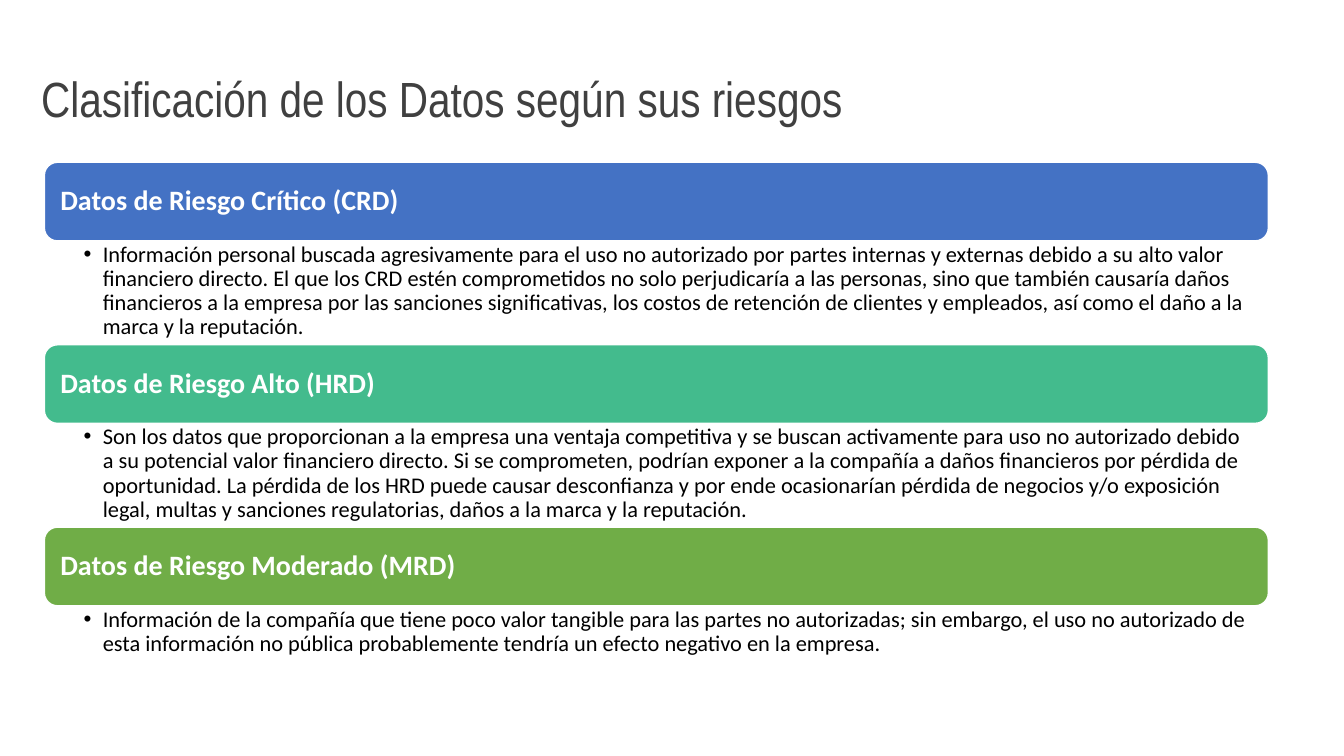
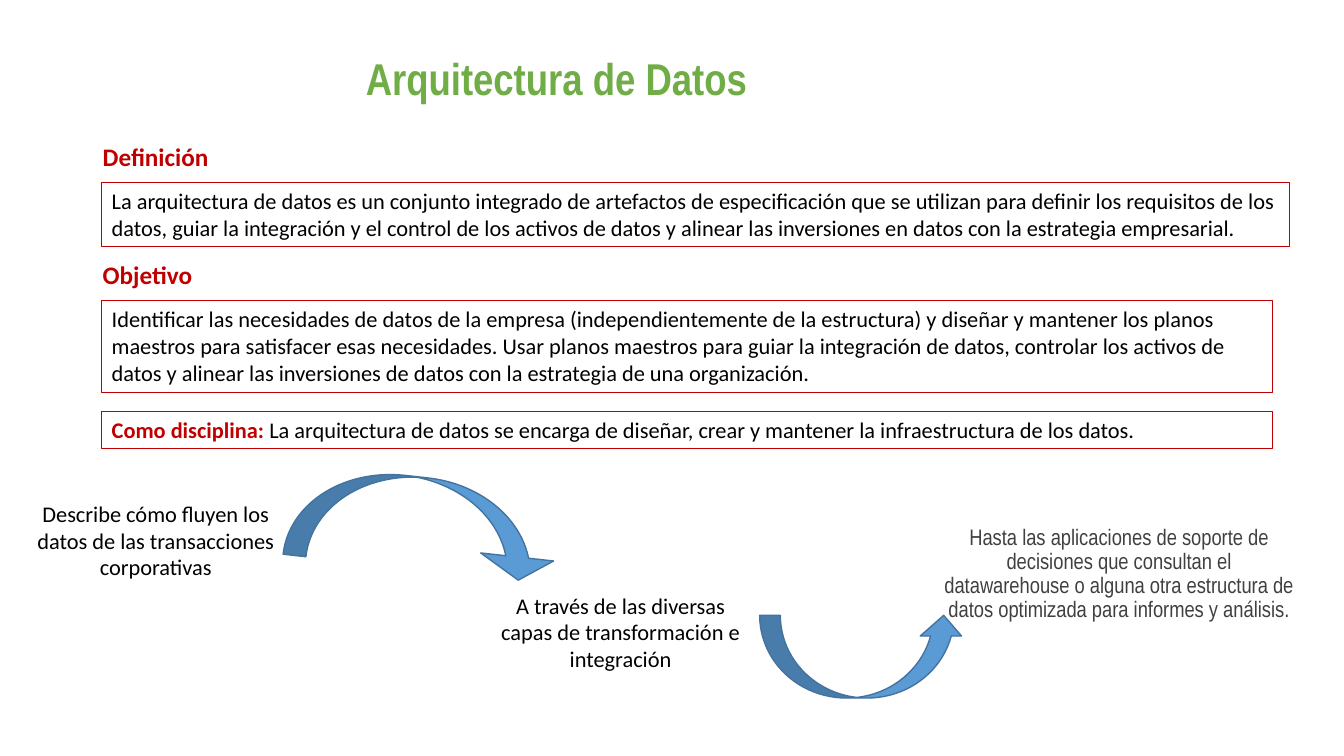
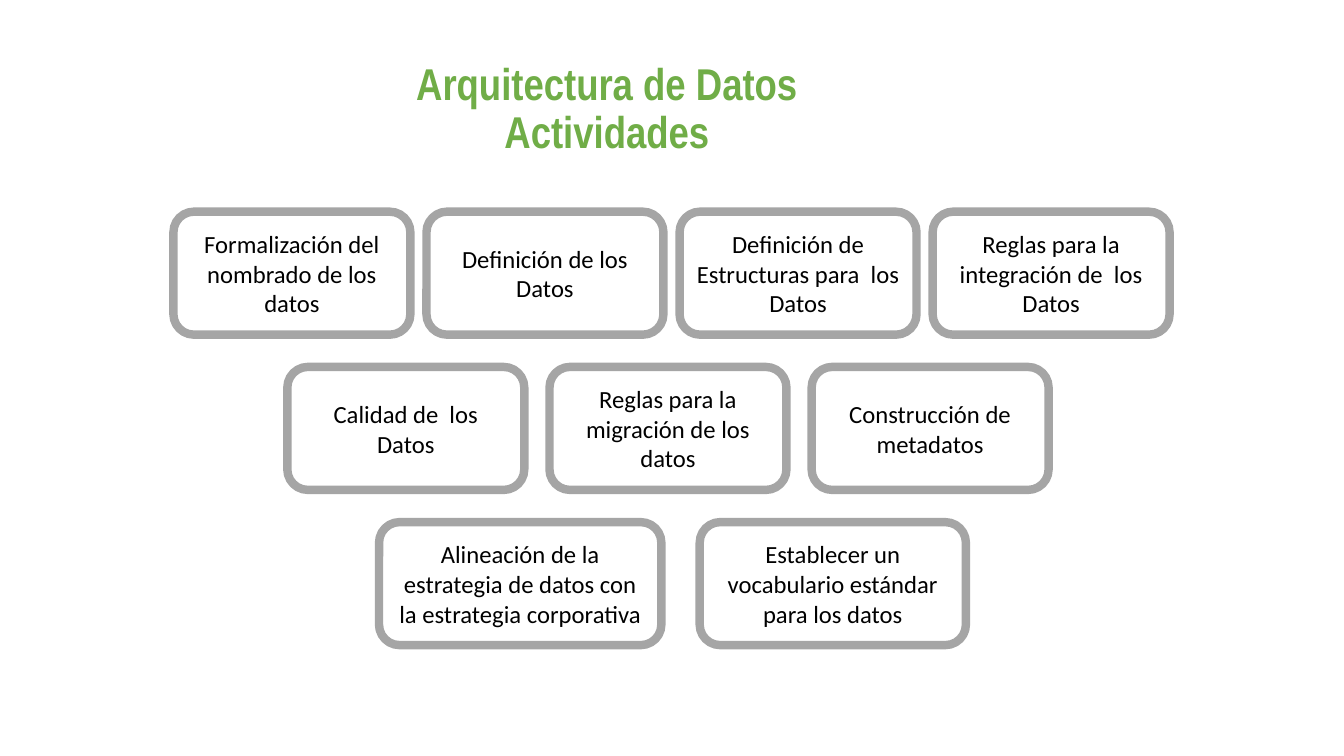
from dataclasses import dataclass

from lxml import etree
from pptx import Presentation
from pptx import util as u
from pptx.dml.color import RGBColor
from pptx.enum import shapes, text
from pptx.oxml import ns

SHAPE = shapes.MSO_SHAPE
CENTER = text.PP_ALIGN.CENTER
MIDDLE = text.MSO_ANCHOR.MIDDLE


@dataclass(frozen=True)
class Theme:
    body_font: str = "Calibri"
    title_font: str = "Arial Narrow"
    white: str = "FFFFFF"
    black: str = "000000"
    gray: str = "404040"
    border: str = "A5A5A5"
    blue: str = "4472C4"
    teal: str = "43BB8D"
    green: str = "70AD47"
    red: str = "C00000"
    arrow: str = "5B9BD5"
    arrow_line: str = "43739E"
    title: float = 35.3
    heading: float = 31.8
    band: float = 20
    label: float = 18
    card: float = 17.6
    body: float = 16


T = Theme()
BODY = dict(size=T.body, name=T.body_font, color=T.black)
LABEL = dict(size=T.label, name=T.body_font, color=T.red, bold=True)
HEADING = dict(size=T.heading, name=T.title_font, color=T.green, bold=True)

RISKS = [
    ("Datos de Riesgo Crítico (CRD)", T.blue,
     "Información personal buscada agresivamente para el uso no autorizado por partes internas y externas debido a su alto valor financiero directo. El que los CRD estén comprometidos no solo perjudicaría a las personas, sino que también causaría daños financieros a la empresa por las sanciones significativas, los costos de retención de clientes y empleados, así como el daño a la marca y la reputación."),
    ("Datos de Riesgo Alto (HRD)", T.teal,
     "Son los datos que proporcionan a la empresa una ventaja competitiva y se buscan activamente para uso no autorizado debido a su potencial valor financiero directo. Si se comprometen, podrían exponer a la compañía a daños financieros por pérdida de oportunidad. La pérdida de los HRD puede causar desconfianza y por ende ocasionarían pérdida de negocios y/o exposición legal, multas y sanciones regulatorias, daños a la marca y la reputación."),
    ("Datos de Riesgo Moderado (MRD)", T.green,
     "Información de la compañía que tiene poco valor tangible para las partes no autorizadas; sin embargo, el uso no autorizado de esta información no pública probablemente tendría un efecto negativo en la empresa."),
]

DEFINITION = "La arquitectura de datos es un conjunto integrado de artefactos de especificación que se utilizan para definir los requisitos de los datos, guiar la integración y el control de los activos de datos y alinear las inversiones en datos con la estrategia empresarial."
OBJECTIVE = "Identificar las necesidades de datos de la empresa (independientemente de la estructura) y diseñar y mantener los planos maestros para satisfacer esas necesidades. Usar planos maestros para guiar la integración de datos, controlar los activos de datos y alinear las inversiones de datos con la estrategia de una organización."
DISCIPLINE = " La arquitectura de datos se encarga de diseñar, crear y mantener la infraestructura de los datos."

ACTIVITY_ROWS = [
    (1.72, 0.16, [(2.35, "Formalización del nombrado de los datos"),
                  (2.35, "Definición de los Datos"),
                  (2.35, "Definición de Estructuras para  los Datos"),
                  (2.35, "Reglas para la integración de  los Datos")]),
    (2.85, 0.25, [(2.35, "Calidad de  los Datos"),
                  (2.35, "Reglas para la migración de los datos"),
                  (2.35, "Construcción de metadatos")]),
    (3.76, 0.38, [(2.8, "Alineación de la estrategia de datos con la estrategia corporativa"),
                  (2.64, "Establecer un vocabulario estándar para los datos")]),
]


def add_run(p, content, fmt):
    r = p.add_run()
    r.text = content
    for key, value in fmt.items():
        if key == "color":
            r.font.color.rgb = RGBColor.from_string(value)
        else:
            setattr(r.font, key, u.Pt(value) if key == "size" else value)


def write(sp, paragraphs, fmt, insets=(0.1, 0.05, 0.1, 0.05), wrap=True,
          anchor=text.MSO_ANCHOR.TOP, align=text.PP_ALIGN.LEFT, spacing=1.0,
          indent=None, bullet=None):
    tf = sp.text_frame
    frame = dict(word_wrap=wrap, vertical_anchor=anchor)
    sides = ("left", "top", "right", "bottom")
    frame.update({f"margin_{side}": u.Inches(v) for side, v in zip(sides, insets)})
    for key, value in frame.items():
        setattr(tf, key, value)
    for i, content in enumerate(paragraphs):
        p = tf.add_paragraph() if i else tf.paragraphs[0]
        pPr = p._p.get_or_add_pPr()
        if indent:
            for key, value in zip(("marL", "indent"), indent):
                pPr.set(key, str(u.Inches(value)))
        if bullet:
            etree.SubElement(pPr, ns.qn("a:buFont")).set("typeface", "Arial")
            etree.SubElement(pPr, ns.qn("a:buChar")).set("char", bullet)
        p.alignment = align
        p.line_spacing = spacing
        runs = [(content, {})] if isinstance(content, str) else content
        for words, extra in runs:
            add_run(p, words, {**fmt, **extra})


def add_text(s, box, paragraphs, fmt, **layout):
    sp = s.shapes.add_textbox(*map(u.Inches, box))
    write(sp, paragraphs, fmt, **layout)


def add_shape(s, kind, box, line, width, fill=None):
    sp = s.shapes.add_shape(kind, *map(u.Inches, box))
    sp.shadow.inherit = False
    if fill:
        sp.fill.solid()
        sp.fill.fore_color.rgb = RGBColor.from_string(fill)
    else:
        sp.fill.background()
    sp.line.color.rgb = RGBColor.from_string(line)
    sp.line.width = u.Pt(width)
    return sp


def add_heading(s, box, lines):
    add_text(s, box, lines, HEADING, insets=(0.09, 0.04, 0.09, 0.04),
             anchor=MIDDLE, align=CENTER, spacing=0.9)


def add_risk(s, box, name, color, detail):
    x, y, w, h = box
    band_h = 0.78
    band = add_shape(s, SHAPE.ROUNDED_RECTANGLE, (x, y, w, band_h), T.white, 1, color)
    write(band, [name], dict(size=T.band, name=T.body_font, color=T.white, bold=True),
          insets=(0.12, 0.08, 0.12, 0.08), anchor=MIDDLE, spacing=0.9)
    add_text(s, (x, y + band_h, w, h - band_h), [detail], BODY,
             insets=(0.39, 0.02, 0.12, 0.02), spacing=0.9,
             indent=(0.19, -0.19), bullet="•")


def add_framed(s, box, content, label=None):
    x, y, w, h = box
    if label:
        add_text(s, (x - 0.09, y - 0.46, 1.26, 0.4), [label], LABEL, wrap=False)
    frame = add_shape(s, SHAPE.RECTANGLE, box, T.red, 0.75)
    write(frame, [content], BODY)


def add_arrow(s, kind, box, rotation, adjustments=()):
    sp = add_shape(s, kind, box, T.arrow_line, 1, T.arrow)
    sp.rotation = rotation
    for i, value in enumerate(adjustments):
        sp.adjustments[i] = value


def add_flow(s, box):
    x, y, w, h = box
    add_text(s, (x, y + 0.17, 2.77, 0.91),
             ["Describe cómo fluyen los datos de las transacciones corporativas"],
             BODY, align=CENTER)
    add_text(s, (x + 4.2, y + 1.08, 3.09, 0.91),
             ["A través de las diversas capas de transformación e integración"],
             BODY, align=CENTER, indent=(0.5, 0))
    add_text(s, (x + w - 3.7, y + 0.43, 3.7, 1.28),
             ["Hasta las aplicaciones de soporte de decisiones que consultan el datawarehouse o alguna otra estructura de datos optimizada para informes y análisis."],
             dict(size=T.body, name=T.title_font, color=T.gray),
             align=CENTER, spacing=0.9)
    add_arrow(s, SHAPE.CURVED_DOWN_ARROW, (x + 2.69, y, 2.71, 0.91), 6.3,
              (0.25, 0.8, 0.25))
    add_arrow(s, SHAPE.CURVED_RIGHT_ARROW, (x + 7.98, y + 0.76, 0.82, 2.03), 270)


def add_activities(s, top, rows):
    card_h, row_pitch = 1.22, 1.54
    for i, (x, gap, cards) in enumerate(rows):
        for w, name in cards:
            card = add_shape(s, SHAPE.ROUNDED_RECTANGLE,
                             (x, top + i * row_pitch, w, card_h), T.border, 6, T.white)
            write(card, [name], {**BODY, "size": T.card}, anchor=MIDDLE, align=CENTER)
            x += w + gap


def risk_slide(s):
    add_text(s, (0.31, 0.56, 10.24, 0.89),
             ["Clasificación de los Datos según sus riesgos"],
             dict(size=T.title, name=T.title_font, color=T.gray),
             anchor=MIDDLE, spacing=0.9)
    pitch = 1.81
    for i, (name, color, detail) in enumerate(RISKS):
        add_risk(s, (0.44, 1.61 + i * pitch, 12.14, pitch), name, color, detail)


def architecture_slide(s):
    add_heading(s, (0.92, 0.4, 9.2, 0.81), ["Arquitectura de Datos"])
    add_framed(s, (1.01, 1.81, 11.78, 0.64), DEFINITION, "Definición")
    add_framed(s, (1.01, 2.98, 11.61, 0.91), OBJECTIVE, "Objetivo")
    add_framed(s, (1.01, 4.08, 11.61, 0.37),
               [("Como disciplina:", dict(color=T.red, bold=True)), (DISCIPLINE, {})])
    add_flow(s, (0.16, 4.74, 12.79, 2.18))


def activities_slide(s):
    add_heading(s, (1.42, 0.37, 9.2, 1.45), ["Arquitectura de Datos", "Actividades"])
    add_activities(s, 2.1, ACTIVITY_ROWS)


def main():
    prs = Presentation()
    prs.slide_width, prs.slide_height = u.Inches(13.33), u.Inches(7.5)
    for build in (risk_slide, architecture_slide, activities_slide):
        build(prs.slides.add_slide(prs.slide_layouts[6]))
    prs.save("out.pptx")


if __name__ == "__main__":
    main()
